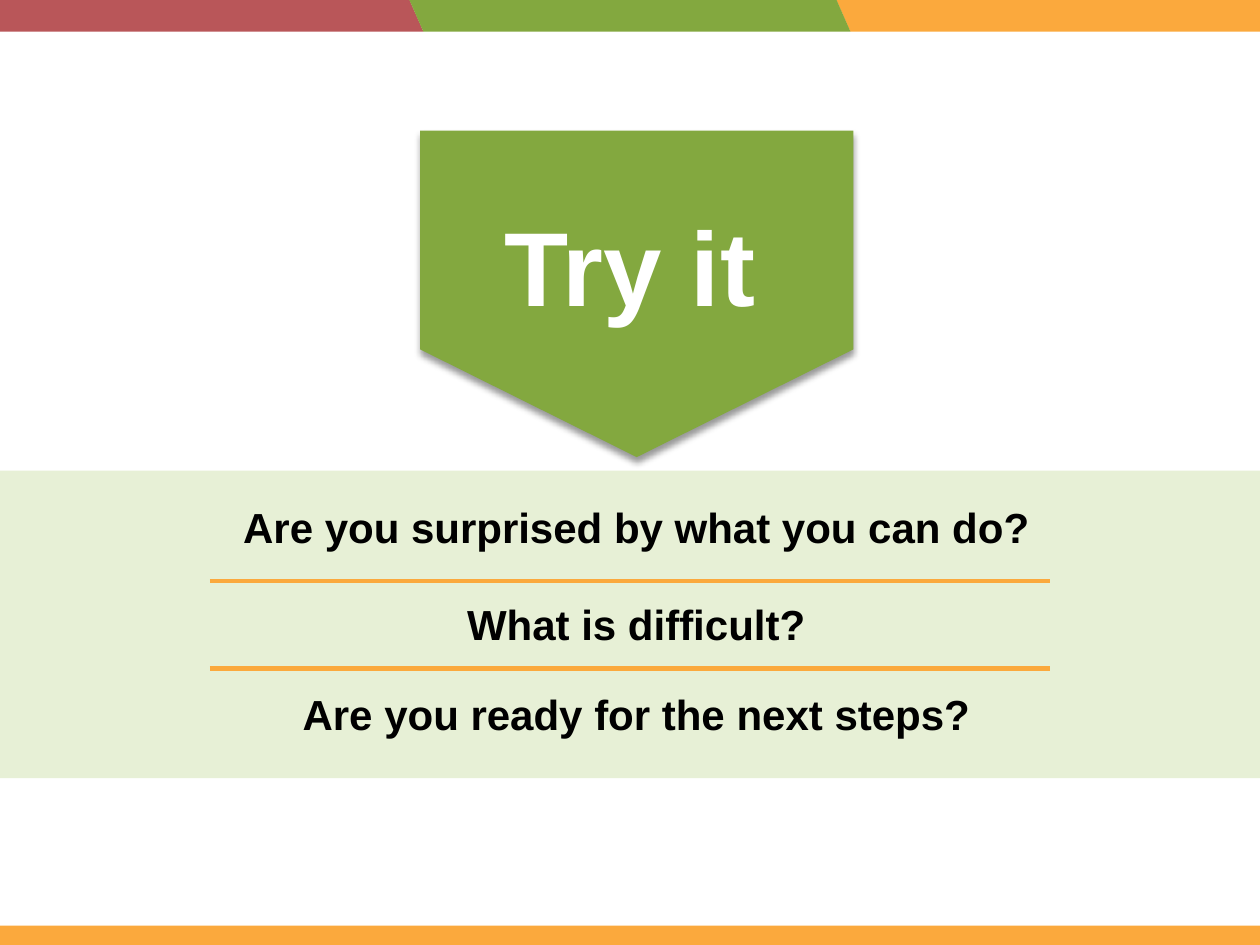
from dataclasses import dataclass

from lxml.etree import SubElement
from pptx import Presentation
from pptx.dml.color import RGBColor
from pptx.enum.shapes import MSO_SHAPE as Shape
from pptx.enum.text import MSO_AUTO_SIZE as AutoSize, PP_ALIGN as Align
from pptx.oxml import parse_xml
from pptx.oxml.ns import nsdecls, qn
from pptx.util import Pt


@dataclass(frozen=True)
class Theme:
    red: str = "B95659"
    green: str = "83A83F"
    orange: str = "FBA93D"
    pale_green: str = "E7F0D6"
    white: str = "FFFFFF"
    black: str = "000000"
    font: str = "Arial"
    title_size: int = 60
    question_size: int = 24
    rule_width: int = 3


THEME = Theme()
WIDTH, HEIGHT = 720, 540
NO_GRID_STYLE = "{2D5ABB26-0587-4C30-8999-92F81FD0307C}"
QUESTIONS = [  # wording, top, width
    ("Are you surprised by what you can do?", 283, 480),
    ("What is difficult?", 338.4, 288),
    ("Are you ready for the next steps?", 390.2, 656.6),
]


def add_filled(slide, kind, box, color):
    shape = slide.shapes.add_shape(kind, *map(Pt, box))
    shape.shadow.inherit = False
    shape.fill.solid()
    shape.fill.fore_color.rgb = RGBColor.from_string(color)
    shape.line.fill.background()
    return shape


def add_text(slide, text, box, size, color):
    text_box = slide.shapes.add_textbox(*map(Pt, box))
    frame = text_box.text_frame
    frame.word_wrap = True
    frame.auto_size = AutoSize.SHAPE_TO_FIT_TEXT
    paragraph = frame.paragraphs[0]
    paragraph.text = text
    paragraph.alignment = Align.CENTER
    font = paragraph.runs[0].font
    for name, value in {"name": THEME.font, "size": Pt(size), "bold": True}.items():
        setattr(font, name, value)
    font.color.rgb = RGBColor.from_string(color)


def add_top_band(slide, box):
    """Three slanted strips; the outer ones bleed past the sides."""
    left, top, width, height = box
    strip_width = 252
    strips = [
        (left + width - 242, THEME.orange),
        (left - 10, THEME.red),
        (left + (width - strip_width) / 2, THEME.green),
    ]
    for strip_left, color in strips:
        strip = add_filled(slide, Shape.PARALLELOGRAM,
                           (strip_left, top, strip_width, height), color)
        strip.adjustments[0] = 0.44
        strip.element.spPr.find(qn("a:xfrm")).set("flipH", "1")


def add_soft_shadow(shape):
    effects = shape.element.spPr.find(qn("a:effectLst"))
    effects.append(parse_xml(
        f'<a:outerShdw {nsdecls("a")} blurRad="{Pt(4)}" dist="{Pt(3)}" '
        f'dir="5400000" rotWithShape="0"><a:srgbClr val="{THEME.black}">'
        '<a:alpha val="40000"/></a:srgbClr></a:outerShdw>'))


def add_title_badge(slide, box):
    """Pentagon turned to point down, filling the given box."""
    left, top, width, height = box
    shift = (width - height) / 2
    badge = add_filled(slide, Shape.PENTAGON,
                       (left + shift, top - shift, height, width), THEME.green)
    badge.rotation = 90
    badge.adjustments[0] = 0.33
    add_soft_shadow(badge)
    add_text(slide, "Try it", (left - 4, top + 37, width, 80),
             THEME.title_size, THEME.white)


def add_border(cell, side):
    line = SubElement(cell._tc.get_or_add_tcPr(), qn(f"a:ln{side}"),
                      w=str(Pt(THEME.rule_width)))
    fill = SubElement(line, qn("a:solidFill"))
    SubElement(fill, qn("a:srgbClr"), val=THEME.orange)


def add_ruled_table(slide, box, row_count):
    """One-column table with rules only between its rows."""
    table = slide.shapes.add_table(row_count, 1, *map(Pt, box)).table
    properties = table._tbl.tblPr
    properties.find(qn("a:tableStyleId")).text = NO_GRID_STYLE
    table.first_row = table.horz_banding = False
    for row in range(row_count):
        cell = table.cell(row, 0)
        if row > 0:
            add_border(cell, "T")
        if row < row_count - 1:
            add_border(cell, "B")
        cell.fill.background()


def add_questions(slide, box):
    left, top, width, height = box
    add_ruled_table(slide, (left + 120, top + 13, 480, 150), len(QUESTIONS))
    center = left + width / 2 + 3.6
    for text, text_top, text_width in QUESTIONS:
        add_text(slide, text, (center - text_width / 2, text_top, text_width, 36),
                 THEME.question_size, THEME.black)


def main():
    presentation = Presentation()
    presentation.slide_width, presentation.slide_height = Pt(WIDTH), Pt(HEIGHT)
    slide = presentation.slides.add_slide(presentation.slide_layouts[6])
    question_band = (0, 269, WIDTH, 175.7)

    add_top_band(slide, (0, 0, WIDTH, 18))
    add_filled(slide, Shape.RECTANGLE, (0, HEIGHT - 11, WIDTH, 11), THEME.orange)
    add_filled(slide, Shape.RECTANGLE, question_band, THEME.pale_green)
    add_title_badge(slide, (240, 74.6, 247.7, 186.6))
    add_questions(slide, question_band)
    presentation.save("out.pptx")


if __name__ == "__main__":
    main()
